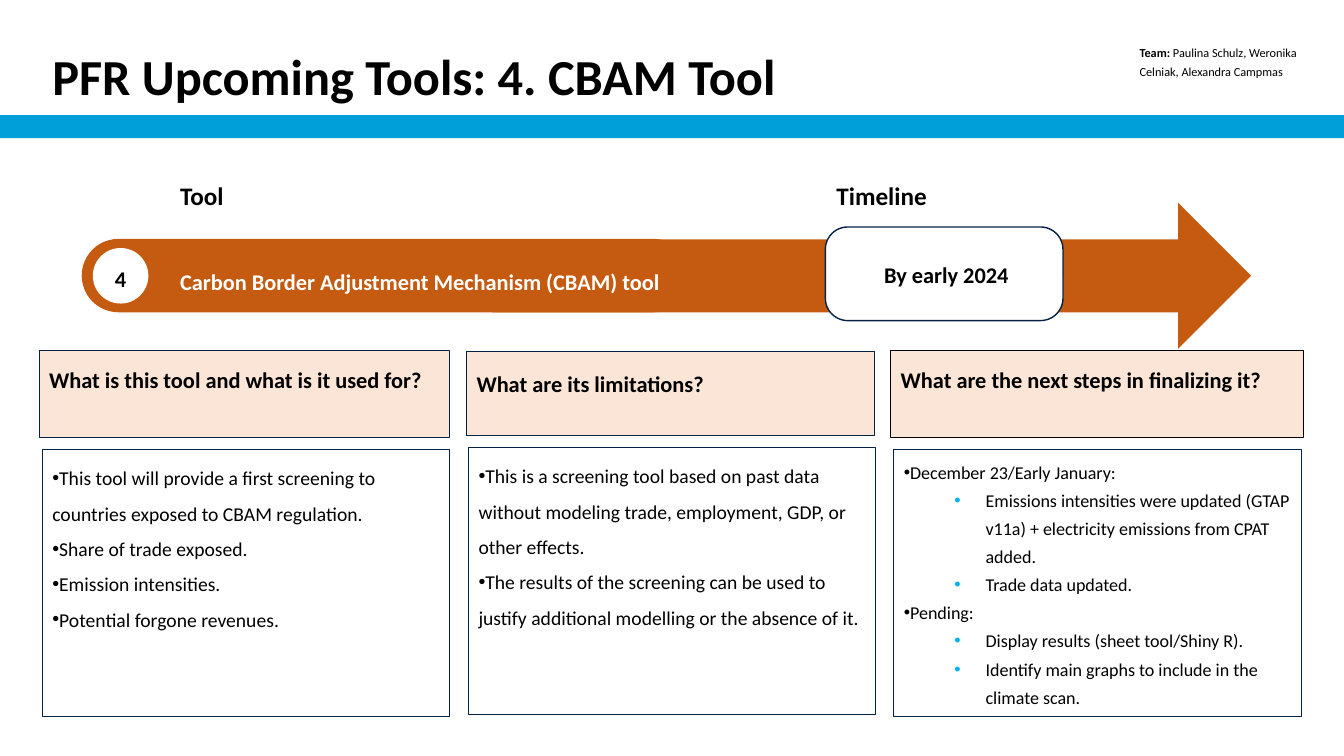
import pptx
import pptx.util
import pptx.dml.color
import pptx.enum.shapes
import pptx.enum.text
import pptx.oxml.ns
import lxml.etree

Cm = pptx.util.Cm
Kind = pptx.enum.shapes.MSO_SHAPE
Align = pptx.enum.text.PP_ALIGN
Anchor = pptx.enum.text.MSO_ANCHOR

COLORS = {
    "band": "009FDA",
    "arrow": "C55A11",
    "heading": "FBE5D6",
    "navy": "042245",
    "bullet": "00B0F0",
    "white": "FFFFFF",
    "black": "000000",
}


def rgb(name):
    return pptx.dml.color.RGBColor.from_string(COLORS[name])


def add_box(place, kind=None, fill=None, line=None, width=0.75, paras=(),
            size=16, bold=True, color="black", spacing=1.5,
            align=Align.LEFT, anchor=Anchor.TOP):
    """Add a text box, or a preset shape if kind is given.

    Each paragraph is a list of (text, bold) spans, or a (text, level) bullet.
    """
    lengths = [Cm(value) for value in place]
    if kind is None:
        box = page.shapes.add_textbox(*lengths)
    else:
        box = page.shapes.add_shape(kind, *lengths)
        box.shadow.inherit = False
        if fill:
            box.fill.solid()
            box.fill.fore_color.rgb = rgb(fill)
        else:
            box.fill.background()
        if line:
            box.line.color.rgb = rgb(line)
            box.line.width = pptx.util.Pt(width)
        else:
            box.line.fill.background()
    frame = box.text_frame
    frame.word_wrap = True
    frame.vertical_anchor = anchor
    for index, item in enumerate(paras):
        para = frame.paragraphs[0] if index == 0 else frame.add_paragraph()
        para.alignment = align
        para.line_spacing = spacing
        spans = item
        if isinstance(item, tuple):
            text, level = item
            spans = [(text, bold)]
            para.level = level
            props = para._p.get_or_add_pPr()
            props.set("marL", str(Cm(2.06) if level else 0))
            props.set("indent", str(Cm(-0.79) if level else 0))
            if level:
                tint = lxml.etree.SubElement(props, pptx.oxml.ns.qn("a:buClr"))
                lxml.etree.SubElement(tint, pptx.oxml.ns.qn("a:srgbClr"), val=COLORS["bullet"])
            lxml.etree.SubElement(props, pptx.oxml.ns.qn("a:buFont"), typeface="Arial")
            lxml.etree.SubElement(props, pptx.oxml.ns.qn("a:buChar"), char="•")
        for text, strong in spans:
            span = para.add_run()
            span.text = text
            span.font.color.rgb = rgb(color)
            style = {"name": "Calibri", "size": pptx.util.Pt(size), "bold": strong}
            for key, value in style.items():
                setattr(span.font, key, value)
    return box


deck = pptx.Presentation()
deck.slide_width, deck.slide_height = Cm(33.87), Cm(19.05)
page = deck.slides.add_slide(deck.slide_layouts[6])

# Band and timeline arrow
add_box((0, 2.9, 33.87, 0.58), Kind.RECTANGLE, "band")
pill = add_box((2.06, 6.02, 15.34, 1.85), Kind.ROUNDED_RECTANGLE, "arrow")
pill.adjustments[0] = 0.5
add_box((12.4, 5.11, 19.13, 3.68), Kind.RIGHT_ARROW, "arrow")
date_card = add_box((20.8, 5.72, 5.99, 2.36), Kind.ROUNDED_RECTANGLE,
                    "white", "navy", width=1)
date_card.adjustments[0] = 0.24
add_box((2.34, 6.25, 1.4, 1.4), Kind.OVAL, "white")

# Title and team
add_box((1.07, 1.32, 31.7, 1.6), size=36, spacing=0.8,
        paras=[[("PFR Upcoming Tools: 4. CBAM Tool", True)]])
team = add_box((28.47, 1.02, 5.38, 1.9), size=8.8, spacing=1.3,
               paras=[[("Team: ", True),
                       ("Paulina Schulz, Weronika Celniak, Alexandra Campmas", False)]])
team.text_frame.margin_top = 0

# Labels on and above the arrow
for left, label in ((4.29, "Tool"), (20.83, "Timeline")):
    add_box((left, 4.04, 5.61, 1.5), size=18, paras=[[(label, True)]])
add_box((21.16, 5.64, 5.38, 2.24), align=Align.CENTER, anchor=Anchor.MIDDLE,
        paras=[[("By early 2024", True)]])
add_box((2.34, 6.22, 1.4, 1.4), align=Align.CENTER, paras=[[("4", True)]])
add_box((4.29, 6.3, 14.45, 1.32), color="white",
        paras=[[("Carbon Border Adjustment Mechanism (CBAM) tool", True)]])

# Three columns: heading place, heading, its spacing and line colour,
# then body corner, text size, spacing and bullets
columns = [
    ((0.99, 8.84, 10.34, 2.18), "What is this tool and what is it used for?", 1.4, "navy",
     (1.07, 11.33), 14, 1.5, [
         ("This tool will provide a first screening to countries exposed to CBAM regulation.", 0),
         ("Share of trade exposed.", 0),
         ("Emission intensities.", 0),
         ("Potential forgone revenues.", 0),
     ]),
    ((11.76, 8.86, 10.29, 2.11), "What are its limitations?", 1.5, "navy",
     (11.81, 11.28), 14, 1.5, [
         ("This is a screening tool based on past data without modeling trade, "
          "employment, GDP, or other effects.", 0),
         ("The results of the screening can be used to justify additional modelling "
          "or the absence of it.", 0),
     ]),
    ((22.45, 8.84, 10.41, 2.18), "What are the next steps in finalizing it?", 1.4, "black",
     (22.53, 11.33), 12.9, 1.3, [
         ("December 23/Early January:", 0),
         ("Emissions intensities were updated (GTAP v11a) + electricity emissions "
          "from CPAT added.", 1),
         ("Trade data updated.", 1),
         ("Pending:", 0),
         ("Display results (sheet tool/Shiny R).", 1),
         ("Identify main graphs to include in the climate scan.", 1),
     ]),
]
for place, heading, heading_spacing, line, corner, size, spacing, bullets in columns:
    add_box(place, Kind.RECTANGLE, "heading", line, spacing=heading_spacing,
            paras=[[(heading, True)]])
    add_box((*corner, 10.26, 6.73), Kind.RECTANGLE, None, "navy", size=size,
            bold=False, spacing=spacing, paras=bullets)

deck.save("out.pptx")
